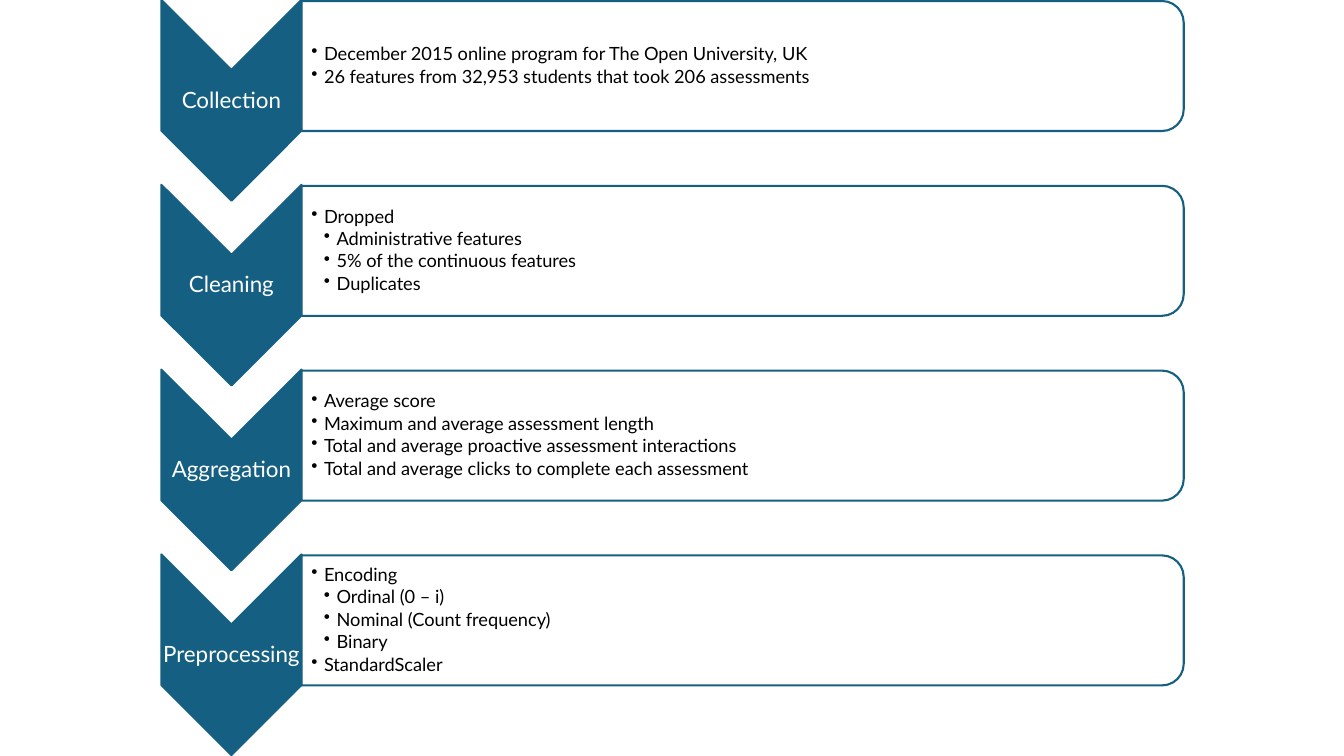
from lxml import etree
from pptx import Presentation
from pptx.dml.color import RGBColor
from pptx.enum.shapes import MSO_SHAPE
from pptx.enum.text import MSO_ANCHOR, PP_ALIGN
from pptx.oxml.ns import qn
from pptx.util import Inches, Pt

CHEVRON = MSO_SHAPE.CHEVRON
CARD = MSO_SHAPE.ROUND_2_SAME_RECTANGLE
MIDDLE = MSO_ANCHOR.MIDDLE
LEFT, CENTER = PP_ALIGN.LEFT, PP_ALIGN.CENTER

BLUE = RGBColor(0x15, 0x60, 0x82)
WHITE = RGBColor(0xFF, 0xFF, 0xFF)
BLACK = RGBColor(0x00, 0x00, 0x00)
FONT = "Lato"
ROW_PITCH = 5.5 / 3
INDENT = 0.125

STAGES = [
    ("Collection", [
        (1, "December 2015 online program for The Open University, UK"),
        (1, "26 features from 32,953 students that took 206 assessments"),
    ]),
    ("Cleaning", [
        (1, "Dropped"),
        (2, "Administrative features"),
        (2, "5% of the continuous features"),
        (2, "Duplicates"),
    ]),
    ("Aggregation", [
        (1, "Average score"),
        (1, "Maximum and average assessment length"),
        (1, "Total and average proactive assessment interactions"),
        (1, "Total and average clicks to complete each assessment"),
    ]),
    ("Preprocessing", [
        (1, "Encoding"),
        (2, "Ordinal (0 – i)"),
        (2, "Nominal (Count frequency)"),
        (2, "Binary"),
        (1, "StandardScaler"),
    ]),
]


def add_turned_shape(s, kind, left, top, width, height, fill, opacity=100):
    shape = s.shapes.add_shape(kind, Inches(left), Inches(top), Inches(width), Inches(height))
    shape.rotation = 90
    shape.shadow.inherit = False
    shape.fill.solid()
    shape.fill.fore_color.rgb = fill
    shape.line.color.rgb = BLUE
    shape.line.width = Pt(1.5)
    if opacity < 100:
        color = shape.fill._xPr.find(qn("a:solidFill"))[0]
        etree.SubElement(color, qn("a:alpha")).set("val", str(opacity * 1000))


def set_bullet(p, level):
    p.level = level
    pPr = p._p.get_or_add_pPr()
    pPr.set("marL", str(Inches(INDENT * level)))
    pPr.set("indent", str(-Inches(INDENT)))
    etree.SubElement(pPr, qn("a:buChar")).set("char", "•")


def add_text(s, items, left, top, width, height, size, color, align=LEFT, inset=0.01, after=0):
    tf = s.shapes.add_textbox(Inches(left), Inches(top), Inches(width), Inches(height)).text_frame
    tf.word_wrap = True
    tf.vertical_anchor = MIDDLE
    tf.margin_left = Inches(inset)
    tf.margin_right = tf.margin_top = tf.margin_bottom = Inches(0.01)
    for i, (level, text) in enumerate(items):
        p = tf.add_paragraph() if i else tf.paragraphs[0]
        if level:
            set_bullet(p, level)
        p.alignment = align
        p.line_spacing = 0.9
        p.space_after = Pt(after)
        r = p.add_run()
        r.text = text
        r.font.name = FONT
        r.font.size = Pt(size)
        r.font.color.rgb = color


def add_stage(s, name, points, offset):
    add_turned_shape(s, CHEVRON, 1.3, 0.3 + offset, 1.99, 1.39, BLUE)
    add_text(s, [(0, name)], 1.6, 0.7 + offset, 1.39, 0.6, 16, WHITE, align=CENTER)
    add_turned_shape(s, CARD, 6.72, -3.72 + offset, 1.29, 8.75, WHITE, opacity=90)
    add_text(s, points, 2.99, 0.07 + offset, 8.69, 1.17, 13, BLACK, inset=0.1, after=1.95)


def main():
    prs = Presentation()
    prs.slide_width, prs.slide_height = Inches(13.33), Inches(7.5)
    s = prs.slides.add_slide(prs.slide_layouts[6])
    for row, (name, points) in enumerate(STAGES):
        add_stage(s, name, points, row * ROW_PITCH)
    prs.save("out.pptx")


if __name__ == "__main__":
    main()
